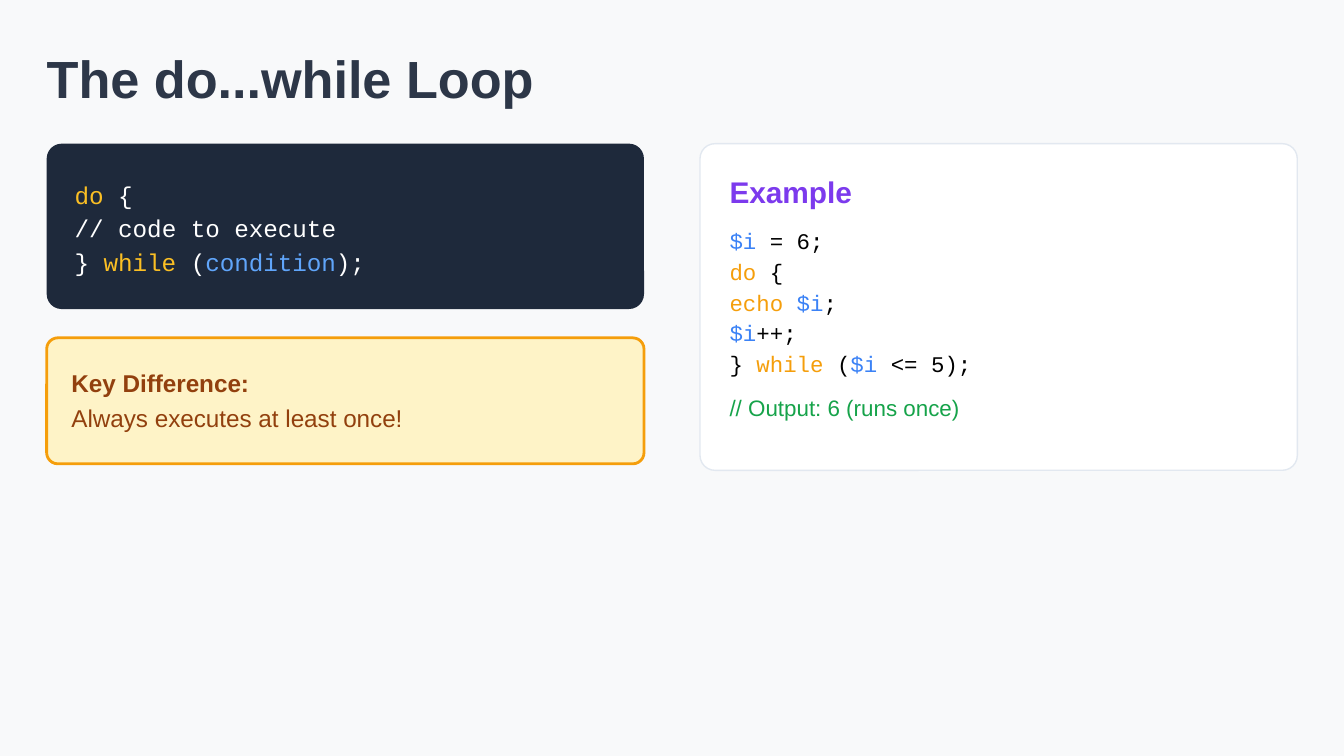
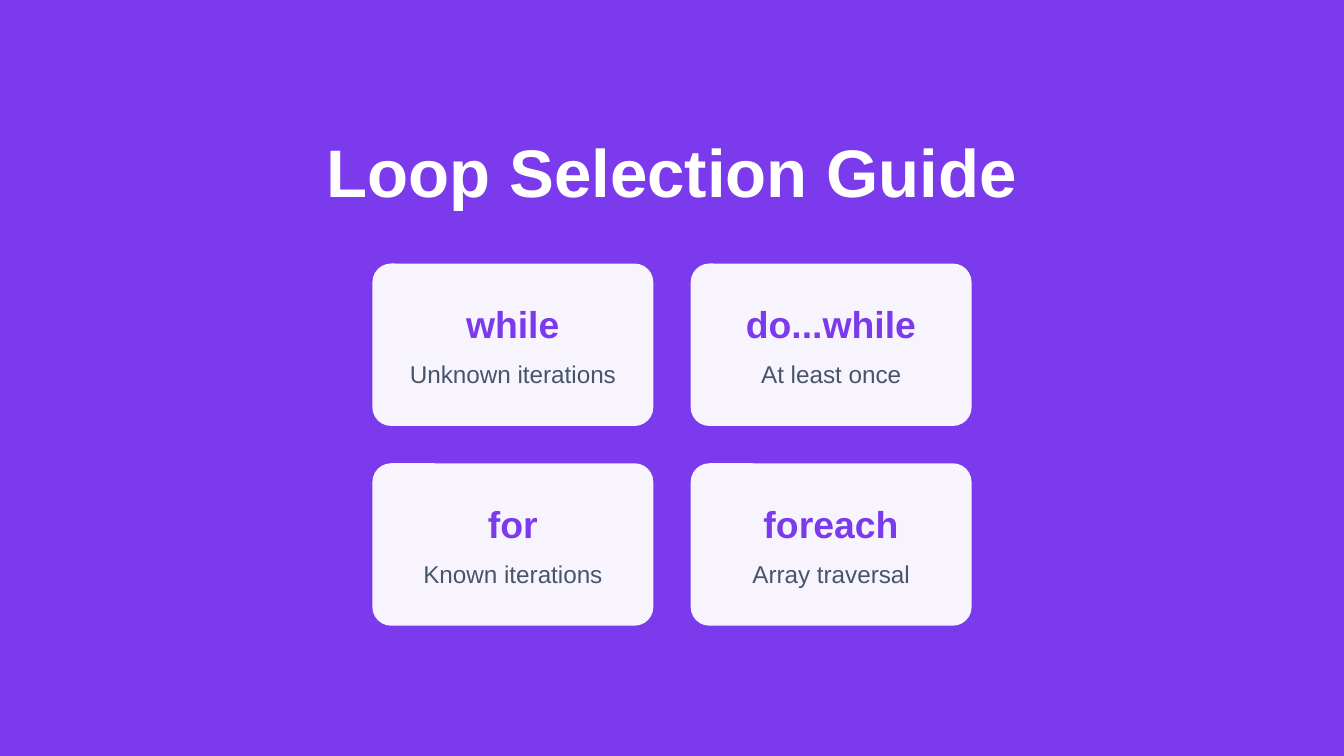
from dataclasses import dataclass
from itertools import product

from lxml.etree import SubElement
from pptx import Presentation
from pptx.dml.color import RGBColor as Rgb
from pptx.enum.shapes import MSO_SHAPE as Shape
from pptx.enum.text import PP_ALIGN as Align
from pptx.oxml.ns import qn
from pptx.util import Pt


@dataclass(frozen=True)
class Theme:
    sans: str = "Arial"
    mono: str = "Courier New"
    paper: str = "F8F9FA"
    ink: str = "2D3748"
    slate: str = "475569"
    navy: str = "1E293B"
    white: str = "FFFFFF"
    black: str = "000000"
    edge: str = "E2E8F0"
    purple: str = "7C3AED"
    cream: str = "FEF3C7"
    brown: str = "92400E"
    amber: str = "F59E0B"
    gold: str = "FBBF24"
    blue: str = "3B82F6"
    sky: str = "60A5FA"
    green: str = "16A34A"
    hero: int = 36
    title: int = 28
    name: int = 20
    head: int = 16
    body: int = 13
    small: int = 12


class Deck:
    def __init__(self, theme):
        self.theme = theme
        self.prs = Presentation()
        self.prs.slide_width, self.prs.slide_height = Pt(720), Pt(405)
        self.slide = None

    def page(self, color):
        self.slide = self.prs.slides.add_slide(self.prs.slide_layouts[6])
        fill = self.slide.background.fill
        fill.solid()
        fill.fore_color.rgb = Rgb.from_string(color)

    def card(self, box, radius, color, line=None, width=0.75, alpha=None):
        """Draw a rounded panel; radius is in points, alpha in percent."""
        card = self.slide.shapes.add_shape(
            Shape.ROUNDED_RECTANGLE, *map(Pt, box))
        card.shadow.inherit = False
        card.adjustments[0] = radius / min(box[2:])
        card.fill.solid()
        card.fill.fore_color.rgb = Rgb.from_string(color)
        if alpha:
            tint = card.element.spPr.find(qn("a:solidFill"))[0]
            SubElement(tint, qn("a:alpha"), val=str(alpha * 1000))
        if line:
            card.line.color.rgb = Rgb.from_string(line)
            card.line.width = Pt(width)
        else:
            card.line.fill.background()

    def text(self, box, runs, size, font=None, bold=False, align=Align.LEFT):
        """Write one line made of (words, color) runs."""
        frame = self.slide.shapes.add_textbox(*map(Pt, box)).text_frame
        frame.word_wrap = True
        frame.margin_left = frame.margin_right = 0
        frame.margin_top = frame.margin_bottom = 0
        para = frame.paragraphs[0]
        para.alignment = align
        for words, color in runs:
            run = para.add_run()
            run.text = words
            run.font.name = font or self.theme.sans
            run.font.size = Pt(size)
            run.font.bold = bold
            run.font.color.rgb = Rgb.from_string(color)

    def code(self, box, pitch, lines, size):
        """Stack code lines at an even pitch, the first one in box."""
        left, top, width, height = box
        for row, runs in enumerate(lines):
            self.text((left, top + row * pitch, width, height),
                      runs, size, self.theme.mono)


def do_while(deck):
    t = deck.theme
    left, right, top, wide = 25, 375, 77, 320
    deck.page(t.paper)
    deck.text((left, 25, 683, 32.5), [("The do...while Loop", t.ink)],
              t.title, bold=True)

    deck.card((left, top, wide, 88.6), 8, t.navy)
    deck.code((left + 15, 96.5, 296, 14.5), 18, [
        [("do", t.gold), (" {", t.white)],
        [("// code to execute", t.white)],
        [("} ", t.white), ("while", t.gold), (" (", t.white),
         ("condition", t.sky), (");", t.white)],
    ], t.body)

    deck.card((left, 181, wide, 67.5), 6, t.cream, t.amber, 1.5)
    notes = ("Key Difference:", True), ("Always executes at least once!", False)
    for row, (words, bold) in enumerate(notes):
        deck.text((38.3, 197.3 + row * 18.7, 299, 16), [(words, t.brown)],
                  t.body, bold=bold)

    inner, span = right + 15.8, 294.5
    deck.card((right, top, wide, 175), 8, t.white, t.edge)
    deck.text((inner, 93, span, 18.7), [("Example", t.purple)],
              t.head, bold=True)
    deck.code((inner, 121.7, span, 13.7), 16.5, [
        [("$i", t.blue), (" = 6;", t.black)],
        [("do", t.amber), (" {", t.black)],
        [("echo ", t.amber), ("$i", t.blue), (";", t.black)],
        [("$i", t.blue), ("++;", t.black)],
        [("} ", t.black), ("while", t.amber), (" (", t.black),
         ("$i", t.blue), (" <= 5);", t.black)],
    ], t.small)
    deck.text((inner, 211, span, 13.7),
              [("// Output: 6 (runs once)", t.green)], t.small)


def guide(deck):
    t = deck.theme
    wide, high, gap, pad = 150.5, 87, 20, 18.75
    left, top = (720 - 2 * wide - gap) / 2, 141.2
    deck.page(t.purple)
    deck.text((171.4, 70, 377.2, 41), [("Loop Selection Guide", t.white)],
              t.hero, bold=True, align=Align.CENTER)

    loops = [("while", "Unknown iterations"), ("do...while", "At least once"),
             ("for", "Known iterations"), ("foreach", "Array traversal")]
    for (row, col), (name, use) in zip(product(range(2), repeat=2), loops):
        x, y = left + col * (wide + gap), top + row * (high + gap)
        deck.card((x, y, wide, high), 10, t.white, alpha=95)
        span = wide - 2 * pad
        deck.text((x + pad, y + 20, span, 23), [(name, t.purple)],
                  t.name, bold=True, align=Align.CENTER)
        deck.text((x + pad, y + 51.2, span, 16), [(use, t.slate)],
                  t.body, align=Align.CENTER)


def main():
    deck = Deck(Theme())
    do_while(deck)
    guide(deck)
    deck.prs.save("out.pptx")


if __name__ == "__main__":
    main()
